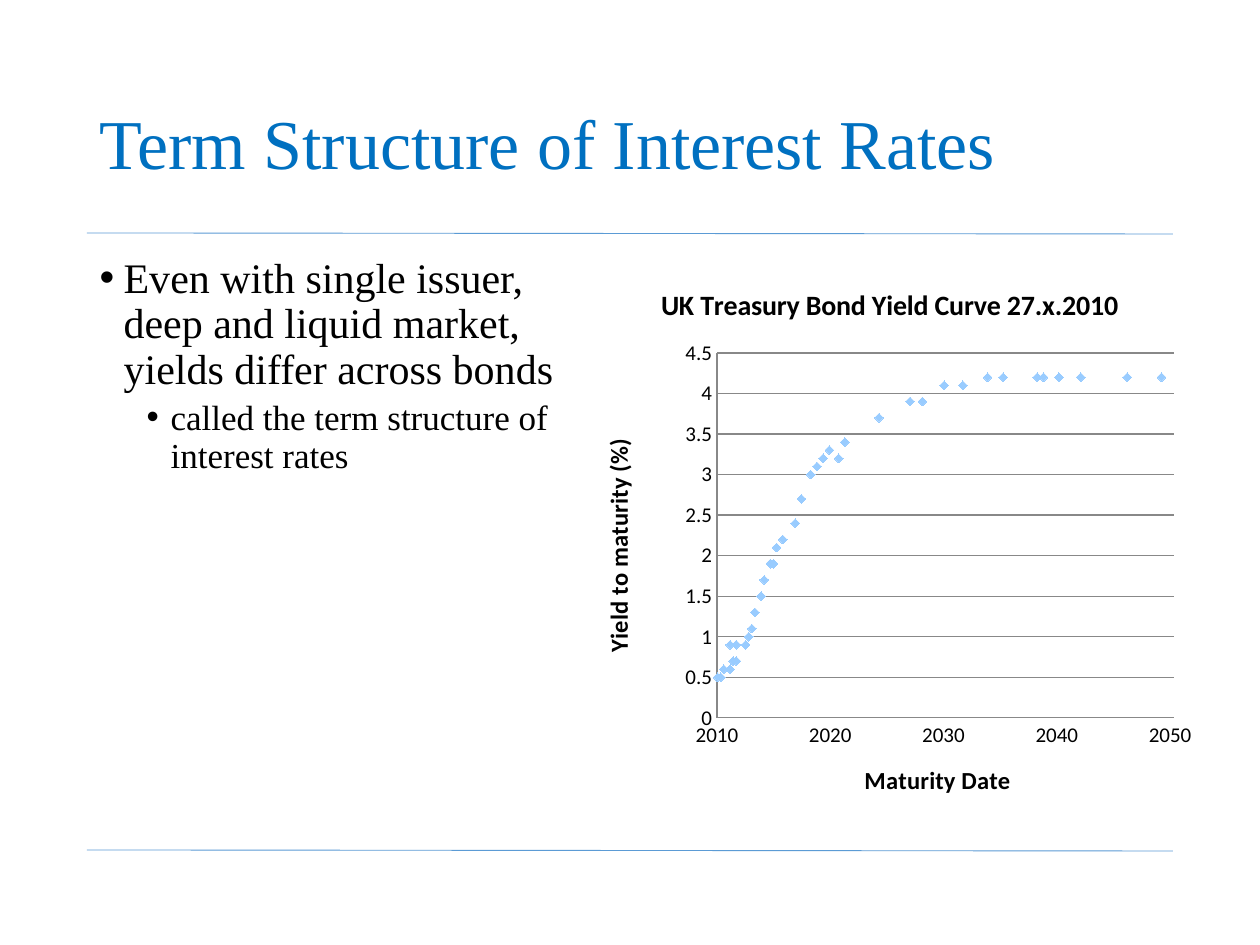
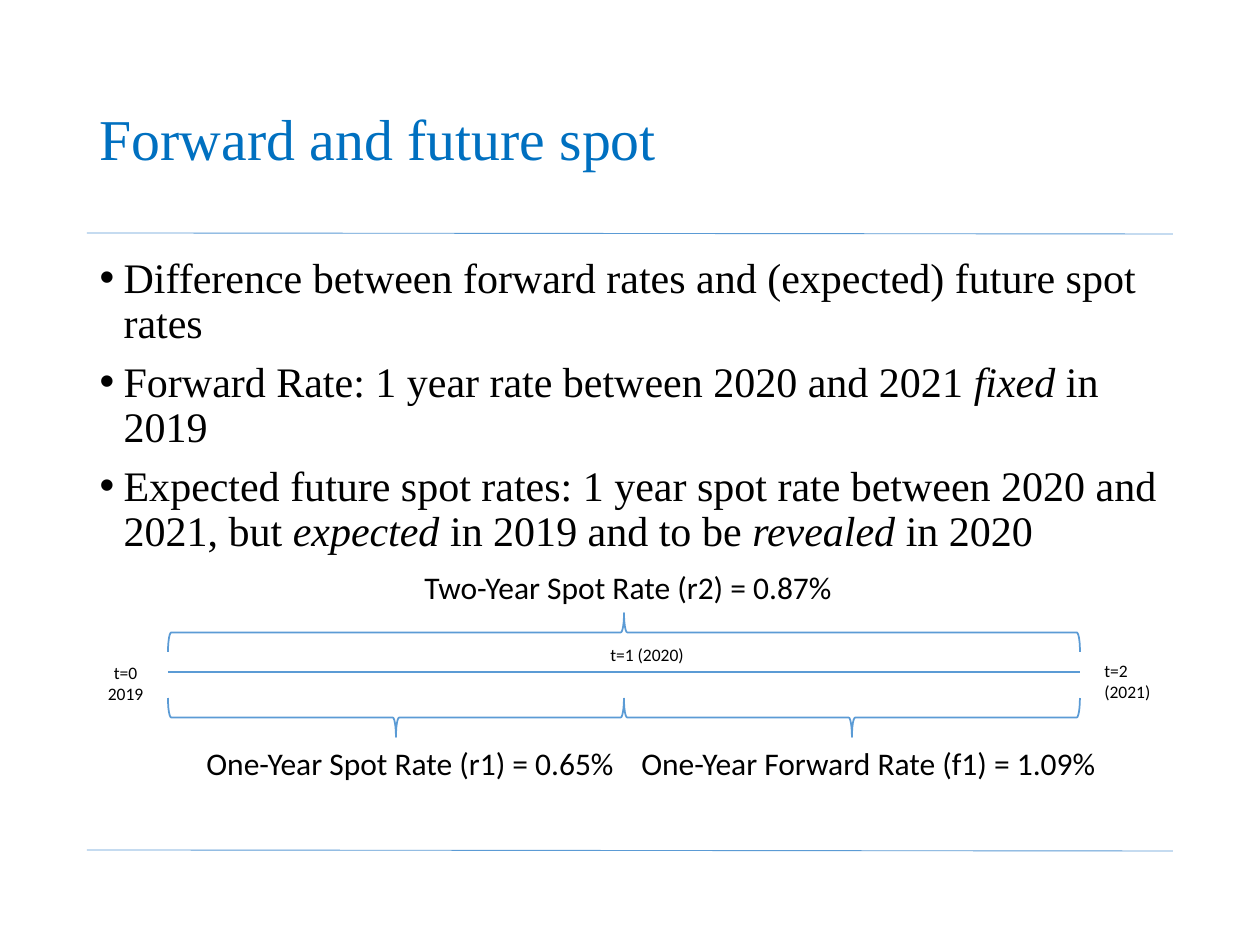
from dataclasses import dataclass

from lxml.etree import SubElement
from pptx import Presentation
from pptx.chart.data import XyChartData
from pptx.dml.color import RGBColor
from pptx.enum.chart import XL_CHART_TYPE as CT, XL_MARKER_STYLE as MS, XL_TICK_MARK as TM
from pptx.enum.shapes import MSO_CONNECTOR as MC, MSO_SHAPE as MS_SHAPE
from pptx.enum.text import MSO_ANCHOR as MA, MSO_AUTO_SIZE as AS, PP_ALIGN as PA
from pptx.oxml import parse_xml
from pptx.oxml.ns import nsdecls, qn
from pptx.util import Pt

PX = 914400 / 126
BLUE, TITLE_BLUE, MARKER, BLACK, GRID = "5B9BD5", "0070C0", "99CCFF", "000000", "888888"
SERIF, SANS = "Times New Roman", "Calibri"
LEFT, RIGHT = 87, 1173
BODY_TOP, BODY_HEIGHT = 251, 600
CHART_WIDTH, CHART_HEIGHT = 630, 559
AXIS_START, AXIS_MID, AXIS_END = 168, 624, 1080
BRACE_HEIGHT = 39

YIELDS = [
    (41600, 1.1), (42400, 2.1), (41700, 1.3), (42000, 1.7), (40700, 0.6),
    (43700, 3.1), (44100, 3.3), (42600, 2.2), (44600, 3.4), (58000, 4.2),
    (40600, 0.5), (47100, 3.9), (50800, 4.2), (51000, 4.2), (53700, 4.2),
    (54800, 4.2), (57000, 4.2), (47800, 4.1), (49700, 4.2), (41100, 0.9),
    (43500, 3.0), (49200, 4.2), (52200, 4.2), (48400, 4.1), (42300, 1.9),
    (43900, 3.2), (51500, 4.2), (43200, 2.7), (41000, 0.7), (41900, 1.5),
    (45700, 3.7), (41100, 0.7), (46700, 3.9), (40500, 0.5), (40900, 0.9),
    (41500, 1.0), (42200, 1.9), (44400, 3.2), (43000, 2.4), (40900, 0.6),
    (41400, 0.9),
]


@dataclass
class Bullet:
    runs: list[str]
    level: int = 0


@dataclass
class Brace:
    left: int
    top: int
    width: int
    rotation: int


@dataclass
class Label:
    lines: list[str]
    left: int
    top: int
    width: int
    height: int
    size: int
    align: PA = PA.LEFT


BRACES = [
    Brace(AXIS_START, 613, AXIS_END - AXIS_START, 90),
    Brace(AXIS_START, 698, AXIS_MID - AXIS_START, 270),
    Brace(AXIS_MID, 698, AXIS_END - AXIS_MID, 270),
]

LABELS = [
    Label(["t=0", "2019"], 86, 656, 79, 55, 10, PA.CENTER),
    Label(["t=1 (2020)"], 576, 638, 142, 34, 10, PA.CENTER),
    Label(["t=2 (2021)"], 1092, 654, 79, 55, 10),
    Label(["Two-Year Spot Rate (r2) = 0.87%"], 412, 562, 488, 43, 18),
    Label(["One-Year Spot Rate (r1) = 0.65%"], 194, 738, 436, 43, 18),
    Label(["One-Year Forward Rate (f1) = 1.09%"], 629, 738, 544, 43, 18),
]


def emu(px: float) -> int:
    return round(px * PX)


def box(*lengths: float) -> list[int]:
    return [emu(v) for v in lengths]


def rgb(color: str) -> RGBColor:
    return RGBColor.from_string(color)


def set_font(font, name: str, size: int, color: str, bold: bool | None = None) -> None:
    font.name, font.size, font.bold = name, Pt(size), bold
    font.color.rgb = rgb(color)


def place(shape, left: int, top: int, width: int, height: int) -> None:
    shape.left, shape.top, shape.width, shape.height = box(left, top, width, height)


def add_line(s, x1: int, y1: int, x2: int, y2: int, width: float) -> None:
    line = s.shapes.add_connector(MC.STRAIGHT, *box(x1, y1, x2, y2))
    line.line.color.rgb = rgb(BLUE)
    line.line.width = Pt(width)
    SubElement(line._element.spPr, qn("a:effectLst"))


def add_bullets(tf, bullets: list[Bullet]) -> None:
    for i, bullet in enumerate(bullets):
        p = tf.paragraphs[0] if i == 0 else tf.add_paragraph()
        p.level = bullet.level
        p.line_spacing = 0.9
        p.space_before = Pt(3.8 if bullet.level else 7.5)
        set_font(p.font, SERIF, 20 if bullet.level else 24, BLACK)
        pPr = p._p.get_or_add_pPr()
        pPr.set("marL", str(emu(24 + 47 * bullet.level)))
        pPr.set("indent", str(emu(-24)))
        mark = parse_xml(f'<a:buChar {nsdecls("a")} char="•"/>')
        pPr.find(qn("a:defRPr")).addprevious(mark)
        for k, text in enumerate(bullet.runs):
            r = p.add_run()
            r.text = text
            if k % 2:
                r.font.italic = True


def add_slide(prs, title: str, size: int, spacing: float, body_width: int, bullets: list[Bullet]):
    s = prs.slides.add_slide(prs.slide_layouts[1])
    add_line(s, LEFT, 233, RIGHT, 234, 0.5)
    add_line(s, LEFT, 850, RIGHT, 851, 0.5)
    heading, body = s.placeholders
    place(heading, LEFT, 50, RIGHT - LEFT, 183)
    place(body, LEFT, BODY_TOP, body_width, BODY_HEIGHT)
    for shape in (heading, body):
        shape.text_frame.word_wrap = True
        shape.text_frame.auto_size = AS.NONE
    tf = heading.text_frame
    tf.text = title
    tf.vertical_anchor = MA.MIDDLE
    p = tf.paragraphs[0]
    p.alignment, p.line_spacing = PA.LEFT, spacing
    set_font(p.font, SERIF, size, TITLE_BLUE)
    add_bullets(body.text_frame, bullets)
    return s


def set_layout(element, left: int, top: int, width: int = 0, height: int = 0) -> None:
    for old in element.findall(qn("c:layout")):
        element.remove(old)
    layout = parse_xml(f'<c:layout {nsdecls("c")}/>')
    manual = SubElement(layout, qn("c:manualLayout"))
    parts = {"xMode": "edge", "yMode": "edge", "x": left / CHART_WIDTH, "y": top / CHART_HEIGHT}
    if width:
        size = {"w": width / CHART_WIDTH, "h": height / CHART_HEIGHT}
        parts = {"layoutTarget": "inner", **parts, **size}
    for tag, value in parts.items():
        SubElement(manual, qn(f"c:{tag}")).set("val", str(value))
    tx = element.find(qn("c:tx"))
    if tx is None:
        element.insert(0, layout)
    else:
        tx.addnext(layout)


def set_chart_title(title, text: str, size: int, left: int, top: int) -> None:
    title.text_frame.text = text
    set_font(title.text_frame.paragraphs[0].font, SANS, size, BLACK, True)
    set_layout(title._element, left, top)


def style_axis(axis, title: str, low: float, high: float, step: float,
               number_format: str, left: int, top: int) -> None:
    axis.minimum_scale, axis.maximum_scale, axis.major_unit = low, high, step
    axis.major_tick_mark = axis.minor_tick_mark = TM.NONE
    axis.format.line.color.rgb = rgb(GRID)
    labels = axis.tick_labels
    set_font(labels.font, SANS, 12, BLACK)
    labels.number_format, labels.number_format_is_linked = number_format, False
    set_chart_title(axis.axis_title, title, 14, left, top)


def add_yield_chart(s) -> None:
    data = XyChartData()
    points = data.add_series("Series 1")
    for maturity, rate in YIELDS:
        points.add_data_point(maturity, rate)
    frame = s.shapes.add_chart(CT.XY_SCATTER, *box(575, 266, CHART_WIDTH, CHART_HEIGHT), data)
    chart = frame.chart
    chart.has_legend = False
    set_font(chart.font, SANS, 10, BLACK)
    set_chart_title(chart.chart_title, "UK Treasury Bond Yield Curve 27.x.2010", 16, 81, 15)
    dates, rates = chart.category_axis, chart.value_axis
    style_axis(dates, "Maturity Date", 40478, 55200, 3650, "yyyy", 285, 493)
    style_axis(rates, "Yield to maturity (%)", 0, 4.5, 0.5, "General", 22, 168)
    dates.has_major_gridlines = False
    rates.major_gridlines.format.line.color.rgb = rgb(GRID)
    bodyPr = rates.axis_title.text_frame._txBody.bodyPr
    bodyPr.set("rot", "-5400000")
    bodyPr.set("vert", "horz")
    set_layout(chart._chartSpace.chart.plotArea, 142, 87, 457, 365)
    plot = chart.plots[0]
    plot.vary_by_categories = False
    series = plot.series[0]
    series.smooth = False
    series.format.line.fill.background()
    series.marker.style, series.marker.size = MS.DIAMOND, 5
    series.marker.format.fill.solid()
    series.marker.format.fill.fore_color.rgb = rgb(MARKER)
    series.marker.format.line.fill.background()


def add_brace(s, brace: Brace) -> None:
    left = brace.left + (brace.width - BRACE_HEIGHT) / 2
    top = brace.top + (BRACE_HEIGHT - brace.width) / 2
    shape = s.shapes.add_shape(MS_SHAPE.LEFT_BRACE, *box(left, top, BRACE_HEIGHT, brace.width))
    shape.rotation = brace.rotation
    shape.shadow.inherit = False
    shape.fill.background()
    shape.line.color.rgb = rgb(BLUE)
    shape.line.width = Pt(1)


def add_label(s, label: Label) -> None:
    tb = s.shapes.add_textbox(*box(label.left, label.top, label.width, label.height))
    tf = tb.text_frame
    tf.word_wrap = True
    tf.text = "\n".join(label.lines)
    for p in tf.paragraphs:
        p.alignment = label.align
        set_font(p.font, SANS, label.size, BLACK)


def main() -> None:
    prs = Presentation()
    prs.slide_width, prs.slide_height = box(1260, 945)

    s = add_slide(prs, "Term Structure of Interest Rates", 40, 1.0, 509, [
        Bullet(["Even with single issuer, deep and liquid market, yields differ across bonds"]),
        Bullet(["called the term structure of interest rates"], 1),
    ])
    add_yield_chart(s)

    s = add_slide(prs, "Forward and future spot", 33, 0.9, RIGHT - LEFT, [
        Bullet(["Difference between forward rates and (expected) future spot rates"]),
        Bullet(["Forward Rate: 1 year rate between 2020 and 2021 ", "fixed ", "in 2019"]),
        Bullet(["Expected future spot rates: 1 year spot rate between 2020 and 2021, but ",
                "expected", " in 2019 and to be ", "revealed", " in 2020"]),
    ])
    add_line(s, AXIS_START, 672, AXIS_END, 672, 1)
    for brace in BRACES:
        add_brace(s, brace)
    for label in LABELS:
        add_label(s, label)

    prs.save("out.pptx")


if __name__ == "__main__":
    main()
